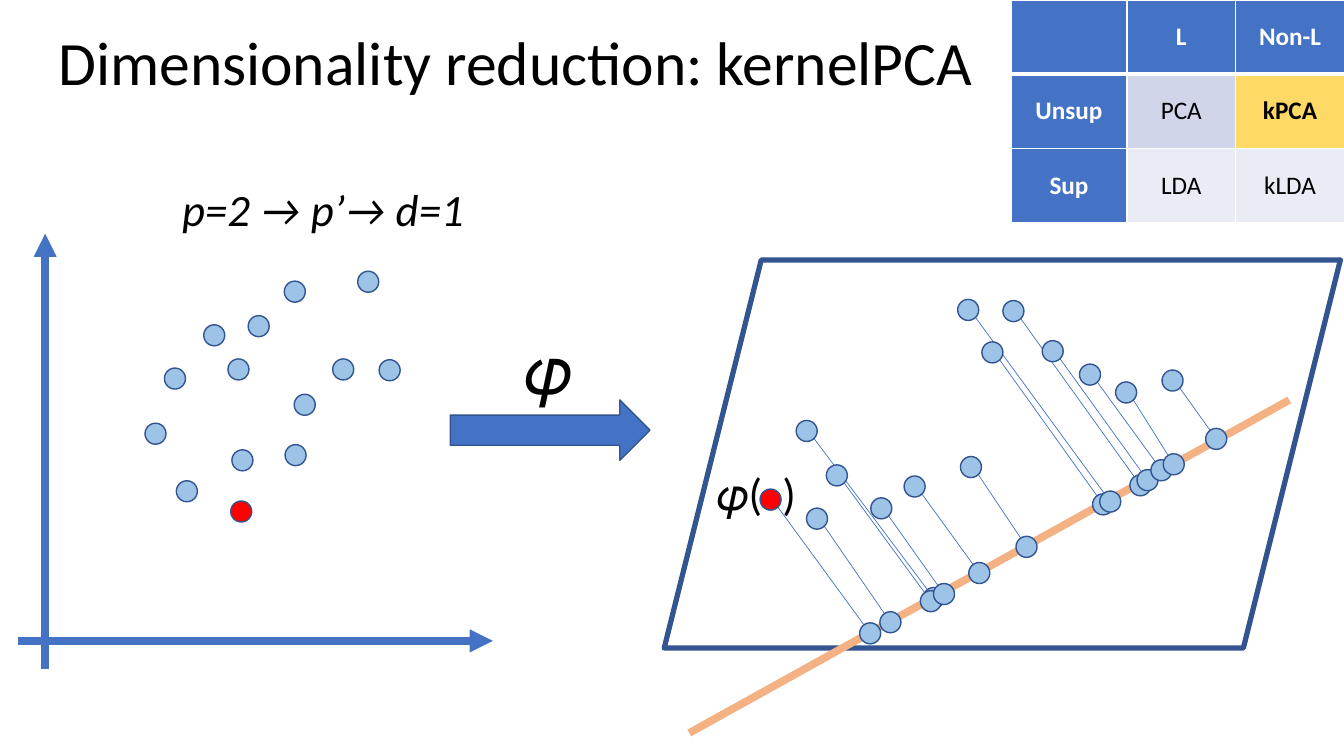
"""Build a slide that explains dimensionality reduction with kernel PCA."""
import lxml.etree
import pptx
import pptx.dml.color
import pptx.enum.shapes
import pptx.enum.text
import pptx.oxml.ns
import pptx.util

Cm = pptx.util.Cm
Pt = pptx.util.Pt
qn = pptx.oxml.ns.qn
SHAPES = pptx.enum.shapes.MSO_SHAPE
COLORS = {
    "black": "000000", "white": "FFFFFF", "blue": "4472C4", "navy": "325491",
    "dot": "9DC3E6", "red": "FF0000", "orange": "F4B183", "yellow": "FFD966",
    "band": "D0D5EA", "pale": "E9EBF5",
}
RGB = {name: pptx.dml.color.RGBColor.from_string(value) for name, value in COLORS.items()}
DOT_SIZE = 0.53
DOT_EDGE = 0.17

presentation = pptx.Presentation()
presentation.slide_width = Cm(33.87)
presentation.slide_height = Cm(19.05)
slide = presentation.slides.add_slide(presentation.slide_layouts[6])


def write_text(frame, text, size=18, color="black", bold=False, italic=False, align=None):
    """Write one formatted paragraph into a text frame."""
    paragraph = frame.paragraphs[0]
    paragraph.alignment = align
    run = paragraph.add_run()
    run.text = text
    run.font.name = "Calibri"
    run.font.size = Pt(size)
    run.font.bold = bold
    run.font.italic = italic
    run.font.color.rgb = RGB[color]


def add_figure(kind, left, top, width, height, fill=None, line_width=1):
    """Add a preset shape with a navy outline."""
    shape = slide.shapes.add_shape(kind, Cm(left), Cm(top), Cm(width), Cm(height))
    shape.shadow.inherit = False
    if fill:
        shape.fill.solid()
        shape.fill.fore_color.rgb = RGB[fill]
    else:
        shape.fill.background()
    shape.line.color.rgb = RGB["navy"]
    shape.line.width = Pt(line_width)


header = [("", "blue"), ("L", "blue"), ("Non-L", "blue")]
unsupervised = [("Unsup", "blue"), ("PCA", "band"), ("kPCA", "yellow")]
supervised = [("Sup", "blue"), ("LDA", "pale"), ("kLDA", "pale")]
methods = [header, unsupervised, supervised]
table = slide.shapes.add_table(3, 3, Cm(25.48), Cm(0), Cm(8.4), Cm(5.61)).table
table.first_row = False
table.horz_banding = False
for column, width in zip(table.columns, (2.92, 2.74, 2.74)):
    column.width = Cm(width)
for row_index, row in enumerate(methods):
    table.rows[row_index].height = Cm(1.87)
    for column_index, (label, fill) in enumerate(row):
        cell = table.cell(row_index, column_index)
        cell.vertical_anchor = pptx.enum.text.MSO_ANCHOR.MIDDLE
        properties = cell._tc.get_or_add_tcPr()
        for side in ("lnL", "lnR", "lnT", "lnB"):
            thick = (row_index, side) in ((0, "lnB"), (1, "lnT"))
            border = lxml.etree.SubElement(properties, qn(f"a:{side}"), w=str(Pt(3 if thick else 1)))
            paint = lxml.etree.SubElement(border, qn("a:solidFill"))
            lxml.etree.SubElement(paint, qn("a:srgbClr"), val=COLORS["white"])
        cell.fill.solid()
        cell.fill.fore_color.rgb = RGB[fill]
        if label:
            write_text(cell.text_frame, label, color="white" if fill == "blue" else "black",
                       bold=fill in ("blue", "yellow"), align=pptx.enum.text.PP_ALIGN.CENTER)

add_figure(SHAPES.RIGHT_ARROW, 11.35, 10.08, 5.03, 1.52, fill="blue")
add_figure(SHAPES.PARALLELOGRAM, 16.74, 6.55, 17.04, 9.78, line_width=3.75)

new_point = (6.08, 12.89)
mapped_new_point = (19.42, 12.59)
observations = [
    new_point, (4.41, 9.54), (4.71, 12.38), (3.92, 10.93), (7.45, 11.47),
    (6.11, 11.6), (6.01, 9.31), (7.68, 10.2), (9.82, 9.33), (6.52, 8.22),
    (8.65, 9.31), (9.28, 7.1), (5.4, 8.45), (7.43, 7.35),
]
projections = [
    (mapped_new_point, (21.93, 15.96)), ((20.59, 13.07), (22.44, 15.68)),
    ((20.33, 10.86), (23.53, 15.07)), ((21.09, 11.98), (23.46, 15.15)),
    ((22.21, 12.81), (23.79, 14.97)), ((23.05, 12.26), (24.68, 14.44)),
    ((24.47, 11.77), (25.87, 13.78)), ((25.01, 8.88), (27.8, 12.71)),
    ((24.4, 7.81), (27.98, 12.64)), ((25.54, 7.84), (28.74, 12.23)),
    ((26.53, 8.85), (28.92, 12.1)), ((27.47, 9.44), (29.27, 11.85)),
    ((28.38, 9.89), (29.58, 11.7)), ((29.55, 9.59), (30.65, 11.06)),
]
lines = [((17.37, 18.47), (32.49, 10.08), "orange", 5.5, False)]
for (x, y), foot in projections:
    lines.append(((x + DOT_EDGE, y + DOT_EDGE), foot, "blue", 0.5, False))
lines.append(((1.14, 16.87), (1.14, 5.89), "blue", 5.5, True))
lines.append(((0.46, 16.15), (12.42, 16.15), "blue", 5.5, True))
for start, end, color, width, has_arrow in lines:
    connector = slide.shapes.add_connector(
        pptx.enum.shapes.MSO_CONNECTOR.STRAIGHT, *map(Cm, start + end))
    connector.line.color.rgb = RGB[color]
    connector.line.width = Pt(width)
    if has_arrow:
        lxml.etree.SubElement(connector.line._get_or_add_ln(), qn("a:tailEnd"), type="triangle")
    lxml.etree.SubElement(connector._element.spPr, qn("a:effectLst"))

mapped_points, feet = zip(*projections)
for x, y in [*mapped_points, *feet, *observations]:
    is_new = (x, y) in (new_point, mapped_new_point)
    add_figure(SHAPES.OVAL, x - DOT_SIZE / 2, y - DOT_SIZE / 2, DOT_SIZE, DOT_SIZE,
               fill="red" if is_new else "dot")

captions = [
    ("Dimensionality reduction: kernelPCA", 1.22, 0.48, 23.83, 2.13, 44, False, False),
    ("p=2 → p’→ d=1", 4.34, 4.45, 8.13, 1.63, 32, True, False),
    ("𝜑", 12.98, 8.13, 3.56, 2.31, 48, False, True),
    ("𝜑(  )", 17.81, 11.61, 3.56, 1.63, 32, False, True),
]
for text, left, top, width, height, size, italic, wraps in captions:
    frame = slide.shapes.add_textbox(Cm(left), Cm(top), Cm(width), Cm(height)).text_frame
    frame.word_wrap = wraps
    frame.auto_size = pptx.enum.text.MSO_AUTO_SIZE.SHAPE_TO_FIT_TEXT
    write_text(frame, text, size=size, italic=italic)

presentation.save("out.pptx")
